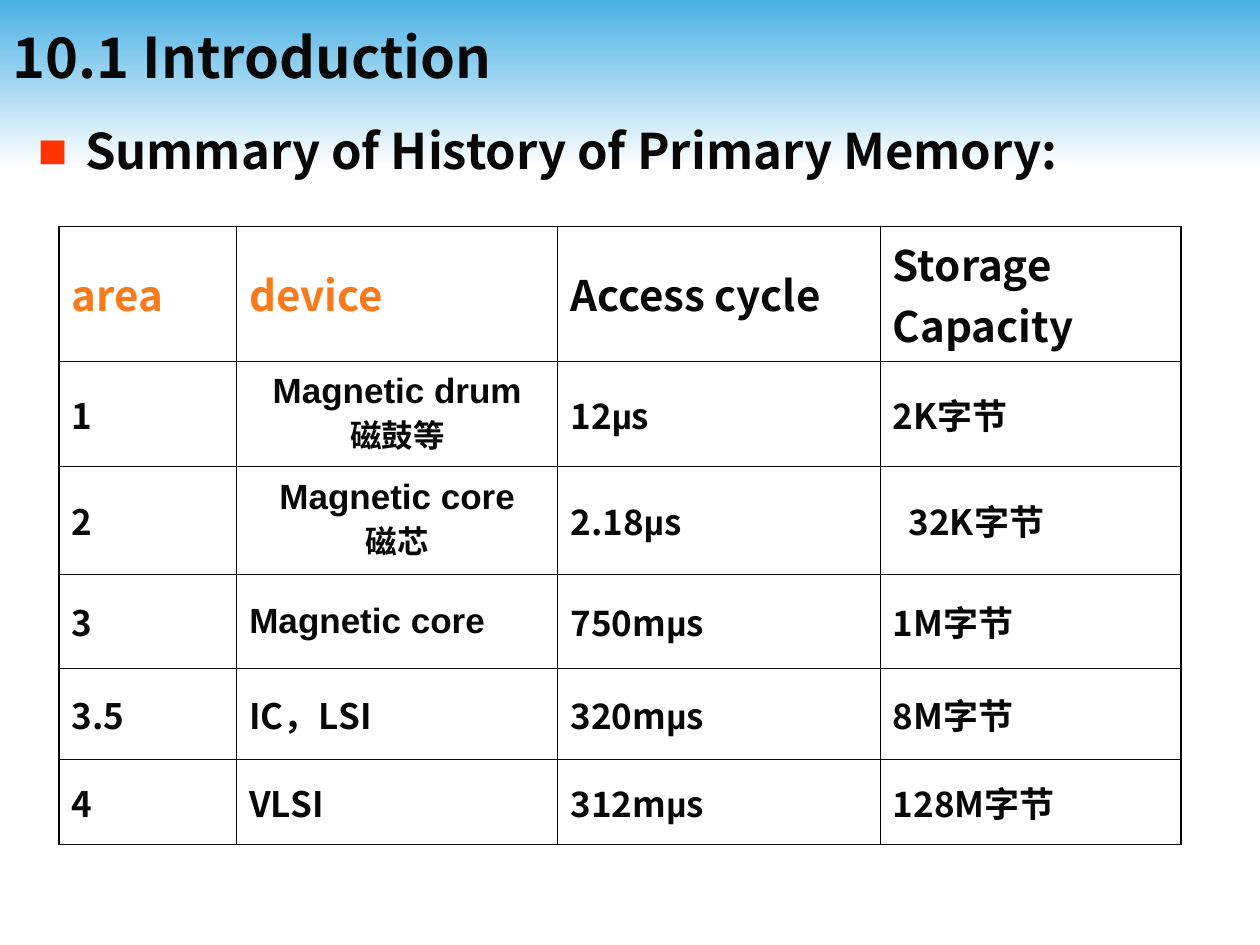
from dataclasses import dataclass

from lxml import etree
from pptx import Presentation
from pptx.dml.color import RGBColor
from pptx.enum.shapes import MSO_SHAPE
from pptx.enum.text import MSO_ANCHOR, MSO_AUTO_SIZE, PP_ALIGN
from pptx.oxml.ns import qn
from pptx.util import Pt

LEFT, CENTER = PP_ALIGN.LEFT, PP_ALIGN.CENTER
TOP, MIDDLE = MSO_ANCHOR.TOP, MSO_ANCHOR.MIDDLE
RECTANGLE = MSO_SHAPE.RECTANGLE
NO_AUTOFIT = MSO_AUTO_SIZE.NONE


@dataclass(frozen=True)
class Theme:
    ink: str = "080808"
    accent: str = "F77A1D"
    bullet: str = "FF3300"
    sky: str = "4AB1E4"
    paper: str = "FFFFFF"
    main_font: str = "Noto Sans CJK JP"
    latin_font: str = "Arial"
    title: int = 32
    body: int = 28
    header: int = 24
    cell: int = 20
    translation: int = 18
    outer_line: float = 1.08
    inner_line: float = 0.45


THEME = Theme()
SLIDE_WIDTH, SLIDE_HEIGHT = 720, 540
COLUMN_WIDTHS = (101.5, 183.5, 184.3, 172)
ROW_HEIGHTS = (61.2, 60.5, 61.2, 54, 51.8, 48.9)

# Header label and colour
HEADERS = (
    ("area", THEME.accent),
    ("device", THEME.accent),
    ("Access cycle", THEME.ink),
    ("Storage Capacity", THEME.ink),
)
# Area, device, device font, translation, access cycle before "µs", capacity, indent
MEMORIES = (
    ("1", "Magnetic drum", THEME.latin_font, "磁鼓等", "12", "2K字节", 0),
    ("2", "Magnetic core", THEME.latin_font, "磁芯", "2.18", "32K字节", 9),
    ("3", "Magnetic core", THEME.latin_font, None, "750m", "1M字节", 0),
    ("3.5", "IC，LSI", THEME.main_font, None, "320m", "8M字节", 0),
    ("4", "VLSI", THEME.main_font, None, "312m", "128M字节", 0),
)


def write(paragraph, text, *, size=THEME.cell, color=THEME.ink,
          font=THEME.main_font, align=LEFT):
    """Add one formatted run to a paragraph."""
    paragraph.alignment = align
    run = paragraph.add_run()
    run.text = text
    run.font.size = Pt(size)
    run.font.bold = True
    run.font.color.rgb = RGBColor.from_string(color)
    run.font.name = font
    east_asian = etree.SubElement(run.font._element, qn("a:ea"))
    east_asian.set("typeface", THEME.main_font)


def add_band(slide):
    band = slide.shapes.add_shape(RECTANGLE, 0, 0, Pt(SLIDE_WIDTH), Pt(96))
    band.shadow.inherit = False
    band.line.fill.background()
    band.fill.gradient()
    band.fill.gradient_angle = 270
    for stop, color in zip(band.fill.gradient_stops, (THEME.sky, THEME.paper)):
        stop.color.rgb = RGBColor.from_string(color)
    # Send behind the placeholders
    slide.shapes._spTree.insert(2, band._element)


def place(placeholder, left, top, width, height, anchor):
    """Move a placeholder and return its first paragraph."""
    placeholder.left, placeholder.top = Pt(left), Pt(top)
    placeholder.width, placeholder.height = Pt(width), Pt(height)
    frame = placeholder.text_frame
    frame.auto_size = NO_AUTOFIT
    frame.word_wrap = True
    frame.vertical_anchor = anchor
    first = frame.paragraphs[0]
    first.space_before = Pt(0)
    return first


def add_bullet(paragraph, indent):
    properties = paragraph._p.get_or_add_pPr()
    properties.set("marL", str(Pt(indent)))
    properties.set("indent", str(-Pt(indent)))
    color = etree.SubElement(properties, qn("a:buClr"))
    etree.SubElement(color, qn("a:srgbClr")).set("val", THEME.bullet)
    etree.SubElement(properties, qn("a:buFont")).set("typeface", THEME.latin_font)
    etree.SubElement(properties, qn("a:buChar")).set("char", "■")


def set_border(cell, side, width):
    properties = cell._tc.get_or_add_tcPr()
    line = etree.SubElement(properties, qn(f"a:ln{side}"), w=str(Pt(width)))
    fill = etree.SubElement(line, qn("a:solidFill"))
    etree.SubElement(fill, qn("a:srgbClr")).set("val", THEME.ink)


def frame_cells(table):
    """Clear the fills and draw heavy outer and fine inner rules."""
    last_row, last_column = len(table.rows) - 1, len(table.columns) - 1
    for row in range(last_row + 1):
        for column in range(last_column + 1):
            cell = table.cell(row, column)
            cell.vertical_anchor = MIDDLE
            outer_sides = {"L": column == 0, "R": column == last_column,
                           "T": row == 0, "B": row == last_row}
            for side, is_outer in outer_sides.items():
                set_border(cell, side, THEME.outer_line if is_outer else THEME.inner_line)
            cell.fill.background()


def fill_memory_row(table, row, memory):
    area, device, device_font, translation, cycle, capacity, indent = memory
    area_cell, device_cell, cycle_cell, capacity_cell = (
        table.cell(row, column) for column in range(len(COLUMN_WIDTHS)))
    write(area_cell.text_frame.paragraphs[0], area)

    write(device_cell.text_frame.paragraphs[0], device, font=device_font,
          align=CENTER if translation else LEFT)
    if translation:
        write(device_cell.text_frame.add_paragraph(), translation,
              size=THEME.translation, align=CENTER)

    cycle_line = cycle_cell.text_frame.paragraphs[0]
    write(cycle_line, cycle)
    write(cycle_line, "µ", font=THEME.latin_font)
    write(cycle_line, "s")

    capacity_cell.margin_left = Pt(7.2 + indent)
    write(capacity_cell.text_frame.paragraphs[0], capacity)


def add_memory_table(slide):
    table = slide.shapes.add_table(
        len(ROW_HEIGHTS), len(COLUMN_WIDTHS), Pt(33.8), Pt(129.4),
        Pt(sum(COLUMN_WIDTHS)), Pt(sum(ROW_HEIGHTS))).table
    table.first_row = table.horz_banding = False
    for column, width in zip(table.columns, COLUMN_WIDTHS):
        column.width = Pt(width)
    for row, height in zip(table.rows, ROW_HEIGHTS):
        row.height = Pt(height)
    frame_cells(table)
    for column, (label, color) in enumerate(HEADERS):
        write(table.cell(0, column).text_frame.paragraphs[0], label,
              size=THEME.header, color=color)
    for row, memory in enumerate(MEMORIES, start=1):
        fill_memory_row(table, row, memory)


def main():
    deck = Presentation()
    deck.slide_width, deck.slide_height = Pt(SLIDE_WIDTH), Pt(SLIDE_HEIGHT)
    slide = deck.slides.add_slide(deck.slide_layouts[1])

    # Sky band behind the headings
    add_band(slide)

    # Title and summary line
    heading = place(slide.shapes.title, 0, 3.6, SLIDE_WIDTH, 57, MIDDLE)
    write(heading, "10.1 Introduction", size=THEME.title)
    summary = place(slide.placeholders[1], 14.4, 65.5, 680.4, 474.5, TOP)
    add_bullet(summary, 27)
    write(summary, "Summary of History of Primary Memory:", size=THEME.body)

    # History of memory devices
    add_memory_table(slide)

    deck.save("out.pptx")


if __name__ == "__main__":
    main()
